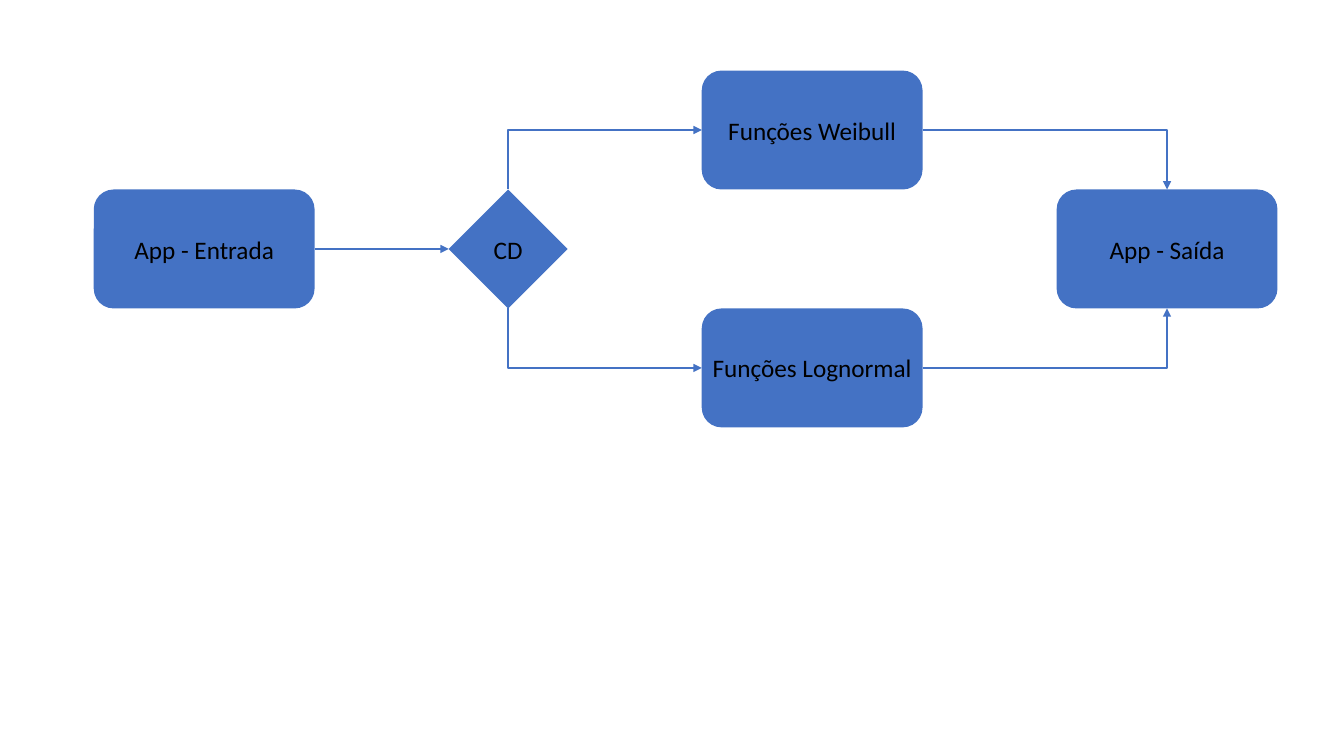
from pptx import Presentation
from pptx.dml.color import RGBColor
from pptx.enum.shapes import MSO_CONNECTOR, MSO_SHAPE
from pptx.enum.text import MSO_ANCHOR, PP_ALIGN
from pptx.oxml.ns import qn
from pptx.util import Inches, Pt
from lxml.etree import SubElement

BLUE = RGBColor(0x44, 0x72, 0xC4)
BLACK = RGBColor(0, 0, 0)
WIDE, HIGH = 2.19, 1.18
UPPER, MID, LOWER = 0.7, 1.88, 3.06
TOP, LEFT, BASE, RIGHT = range(4)


def add_node(slide, label, left, top, kind=MSO_SHAPE.ROUNDED_RECTANGLE, wide=WIDE):
    """Add one labelled step of the flow."""
    node = slide.shapes.add_shape(
        kind, Inches(left), Inches(top), Inches(wide), Inches(HIGH))
    node.shadow.inherit = False
    node.fill.solid()
    node.fill.fore_color.rgb = BLUE
    node.line.fill.background()
    frame = node.text_frame
    frame.text = label
    frame.word_wrap = False
    frame.vertical_anchor = MSO_ANCHOR.MIDDLE
    frame.margin_left = frame.margin_right = 0
    para = frame.paragraphs[0]
    para.alignment = PP_ALIGN.CENTER
    font = para.runs[0].font
    font.name, font.size = "Calibri", Pt(18)
    font.color.rgb = BLACK
    return node


def turn_line(line):
    """Rotate an elbow so that it leaves its first node vertically."""
    wide, high = line.width, line.height
    mid_x, mid_y = line.left + wide // 2, line.top + high // 2
    rising = line.end_y < line.begin_y
    line.left, line.top = mid_x - high // 2, mid_y - wide // 2
    line.width, line.height = high, wide
    frame = line._element.spPr.find(qn("a:xfrm"))
    frame.set("flipH", "1")
    frame.set("flipV", "1" if rising else "0")
    frame.set("rot", str((90 if rising else 270) * 60000))


def add_arrow(slide, start, out, end, into):
    """Join two nodes with a straight or one-bend arrow."""
    bent = {out, into} != {LEFT, RIGHT}
    kind = MSO_CONNECTOR.ELBOW if bent else MSO_CONNECTOR.STRAIGHT
    line = slide.shapes.add_connector(kind, 0, 0, 0, 0)
    line.begin_connect(start, out)
    line.end_connect(end, into)
    line.line.color.rgb = BLUE
    line.line.width = Pt(1.5)
    props = line._element.spPr
    if bent:
        props.find(qn("a:prstGeom")).set("prst", "bentConnector2")
    if out in (TOP, BASE):
        turn_line(line)
    SubElement(props.find(qn("a:ln")), qn("a:tailEnd"), type="triangle")
    SubElement(props, qn("a:effectLst"))


def main():
    """Build the flow chart slide."""
    deck = Presentation()
    deck.slide_width, deck.slide_height = Inches(13.33), Inches(7.5)
    slide = deck.slides.add_slide(deck.slide_layouts[6])
    entry = add_node(slide, "App - Entrada", 0.93, MID)
    choice = add_node(slide, "CD", 4.45, MID, MSO_SHAPE.DIAMOND, HIGH)
    output = add_node(slide, "App - Saída", 10.48, MID)
    add_arrow(slide, entry, RIGHT, choice, LEFT)
    for label, top, side in (("Funções Weibull", UPPER, TOP),
                             ("Funções Lognormal", LOWER, BASE)):
        branch = add_node(slide, label, 6.96, top)
        add_arrow(slide, choice, side, branch, LEFT)
        add_arrow(slide, branch, RIGHT, output, side)
    deck.save("out.pptx")


main()
